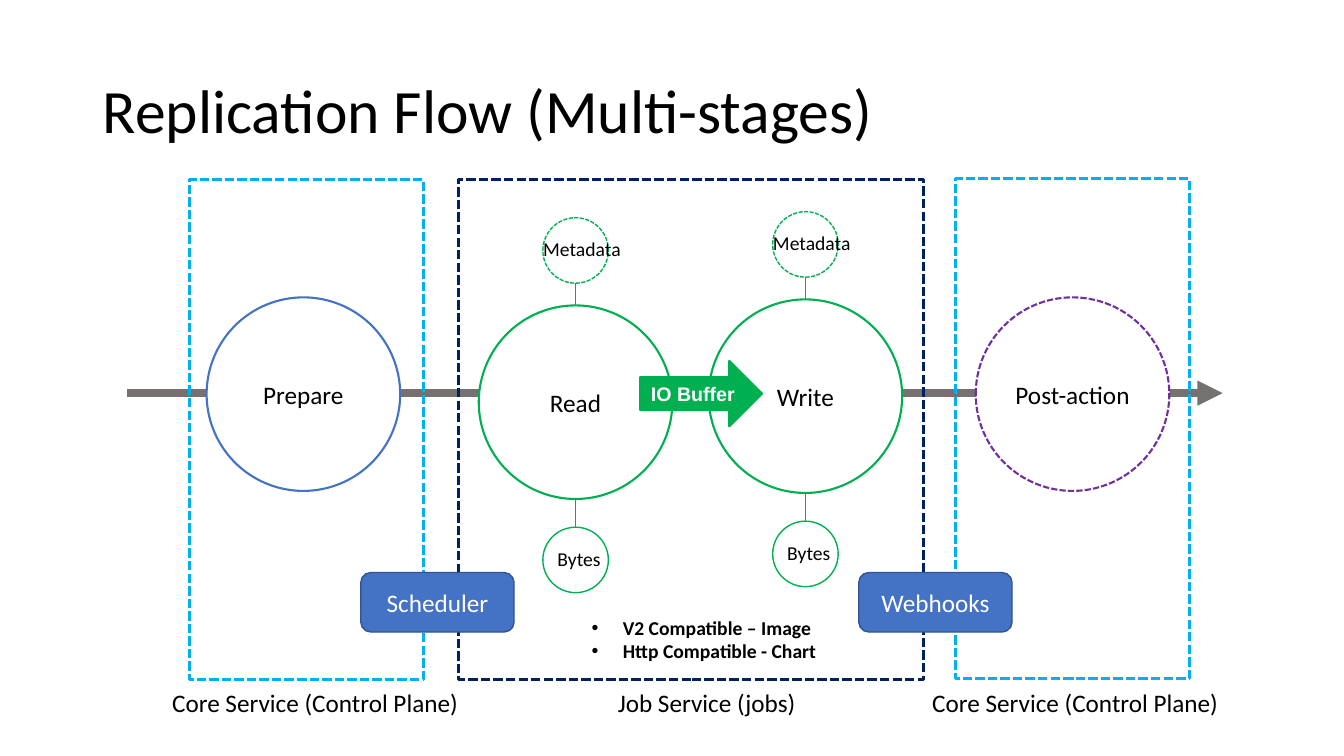
from lxml import etree
from pptx import Presentation
from pptx.dml.color import RGBColor
from pptx.enum.dml import MSO_LINE
from pptx.enum.shapes import MSO_CONNECTOR, MSO_SHAPE
from pptx.enum.text import MSO_ANCHOR, MSO_AUTO_SIZE, PP_ALIGN
from pptx.oxml.ns import qn
from pptx.util import Inches, Pt

BLACK = RGBColor(0x00, 0x00, 0x00)
WHITE = RGBColor(0xFF, 0xFF, 0xFF)
GREY = RGBColor(0x76, 0x71, 0x71)
GREEN = RGBColor(0x00, 0xB0, 0x50)
BLUE = RGBColor(0x44, 0x72, 0xC4)
BLUE_EDGE = RGBColor(0x32, 0x54, 0x91)
SKY = RGBColor(0x00, 0xB0, 0xF0)
NAVY = RGBColor(0x00, 0x20, 0x60)
PURPLE = RGBColor(0x70, 0x30, 0xA0)

DASHED = MSO_LINE.SQUARE_DOT
OVAL, RECTANGLE = MSO_SHAPE.OVAL, MSO_SHAPE.RECTANGLE
ROUNDED, RIGHT_ARROW = MSO_SHAPE.ROUNDED_RECTANGLE, MSO_SHAPE.RIGHT_ARROW
STRAIGHT = MSO_CONNECTOR.STRAIGHT
LEFT, CENTER = PP_ALIGN.LEFT, PP_ALIGN.CENTER
MIDDLE = MSO_ANCHOR.MIDDLE
NO_FIT, GROW = MSO_AUTO_SIZE.NONE, MSO_AUTO_SIZE.SHAPE_TO_FIT_TEXT

COLUMNS, ROWS = 133.33, 75
STAGE_SIZE, DETAIL_SIZE = 19.2, 6.5
FLOW_ROW = 39.1
PANEL_TOP, PANEL_HEIGHT = 17.8, 49.6
CAPTION_TOP = 67.7


class FlowSlide:
    """A slide drawn on a grid of columns and rows in one text style."""

    def __init__(self, presentation):
        self.slide = presentation.slides.add_slide(presentation.slide_layouts[5])
        self.column = presentation.slide_width / COLUMNS
        self.row = presentation.slide_height / ROWS
        self.font = {"name": "Calibri", "size": Pt(18), "bold": False}

    def place(self, left, top, width, height):
        return (round(left * self.column), round(top * self.row),
                round(width * self.column), round(height * self.row))

    def format_text(self, paragraph, color=BLACK, **changes):
        for name, value in (self.font | changes).items():
            setattr(paragraph.font, name, value)
        paragraph.font.color.rgb = color

    def title(self, text, *box):
        shape = self.slide.shapes.title
        shape.left, shape.top, shape.width, shape.height = self.place(*box)
        frame = shape.text_frame
        frame.text = text
        frame.auto_size = NO_FIT
        frame.vertical_anchor = MIDDLE
        paragraph = frame.paragraphs[0]
        paragraph.alignment = LEFT
        paragraph.line_spacing = 0.9
        self.format_text(paragraph, size=Pt(44))

    def shape(self, kind, box, edge, weight, fill=None, dash=None,
              text=None, color=BLACK, **font):
        shape = self.slide.shapes.add_shape(kind, *self.place(*box))
        shape.shadow.inherit = False
        if fill is None:
            shape.fill.background()
        else:
            shape.fill.solid()
            shape.fill.fore_color.rgb = fill
        shape.line.color.rgb = edge
        shape.line.width = Pt(weight)
        if dash:
            shape.line.dash_style = dash
        if text:
            frame = shape.text_frame
            frame.text = text
            frame.word_wrap = True
            frame.vertical_anchor = MIDDLE
            frame.margin_left = frame.margin_right = 0
            frame.paragraphs[0].alignment = CENTER
            self.format_text(frame.paragraphs[0], color, **font)

    def circle(self, center, middle, size, edge, weight, **look):
        box = center - size / 2, middle - size / 2, size, size
        self.shape(OVAL, box, edge, weight, fill=WHITE, **look)

    def label(self, lines, box, bullets=False, **font):
        frame = self.slide.shapes.add_textbox(*self.place(*box)).text_frame
        frame.text = "\n".join(lines)
        frame.word_wrap = False
        frame.auto_size = GROW
        for paragraph in frame.paragraphs:
            if bullets:
                properties = paragraph._p.get_or_add_pPr()
                properties.set("marL", str(Inches(0.31)))
                properties.set("indent", str(-Inches(0.31)))
                etree.SubElement(properties, qn("a:buFont"), typeface="Arial")
                etree.SubElement(properties, qn("a:buChar"), char="•")
            self.format_text(paragraph, **font)

    def line(self, start, end, color, weight, arrow=False):
        connector = self.slide.shapes.add_connector(
            STRAIGHT, *self.place(*start, *end))
        connector.line.color.rgb = color
        connector.line.width = Pt(weight)
        if arrow:
            etree.SubElement(connector.line._get_or_add_ln(),
                             qn("a:tailEnd"), type="triangle")
        etree.SubElement(connector._element.spPr, qn("a:effectLst"))

    def transfer_stage(self, name, center, middle):
        self.line((center, middle - 17.2), (center, middle + 18.2), GREEN, 0.5)
        self.circle(center, middle, STAGE_SIZE, GREEN, 1.5, text=name)
        details = (("Metadata", -15.05, DASHED, -4.2, 9.8),
                   ("Bytes", 15.65, None, -2.8, 6.4))
        for text, offset, dash, indent, width in details:
            row = middle + offset
            self.circle(center, row, DETAIL_SIZE, GREEN, 1, dash=dash)
            self.label([text], (center + indent, row - 1.8, width, 3.4), size=Pt(14))


def main():
    presentation = Presentation()
    presentation.slide_width = Inches(13.33)
    presentation.slide_height = Inches(7.5)
    flow = FlowSlide(presentation)
    flow.title("Replication Flow (Multi-stages)", 9.2, 4, 115, 14.5)
    flow.line((12.6, 39), (121.3, 39), GREY, 6, arrow=True)

    for left, top, width, color in ((18.8, PANEL_TOP, 23.2, SKY),
                                    (45.5, PANEL_TOP, 46.1, NAVY),
                                    (94.8, PANEL_TOP - 0.1, 23.2, SKY)):
        flow.shape(RECTANGLE, (left, top, width, PANEL_HEIGHT), color, 2.25, dash=DASHED)
    for text, left, width in (("Core Service (Control Plane)", 16.1, 30.7),
                              ("Job Service (jobs)", 60.3, 19.9),
                              ("Core Service (Control Plane)", 91.5, 30.7)):
        flow.label([text], (left, CAPTION_TOP, width, 4))

    flow.circle(30.1, FLOW_ROW, STAGE_SIZE, BLUE, 1.5, text="Prepare")
    flow.circle(106.4, FLOW_ROW, STAGE_SIZE, PURPLE, 1.5, dash=DASHED, text="Post-action")
    flow.transfer_stage("Read", 57.1, 39.9)
    flow.transfer_stage("Write", 79.9, 39.3)
    flow.shape(RIGHT_ARROW, (63.5, 35.8, 12.1, 6.5), GREEN, 1.5, fill=GREEN,
               text="IO Buffer", color=WHITE, name="Arial", size=Pt(14), bold=True)

    flow.label(["V2 Compatible – Image", "Http Compatible - Chart"],
               (57.7, 60.6, 24.5, 5.7), bullets=True, size=Pt(14), bold=True)
    for text, left in (("Scheduler", 35.8), ("Webhooks", 85.2)):
        flow.shape(ROUNDED, (left, 56.8, 15.2, 5.9), BLUE_EDGE, 1, fill=BLUE,
                   text=text, color=WHITE)
    presentation.save("out.pptx")


if __name__ == "__main__":
    main()
